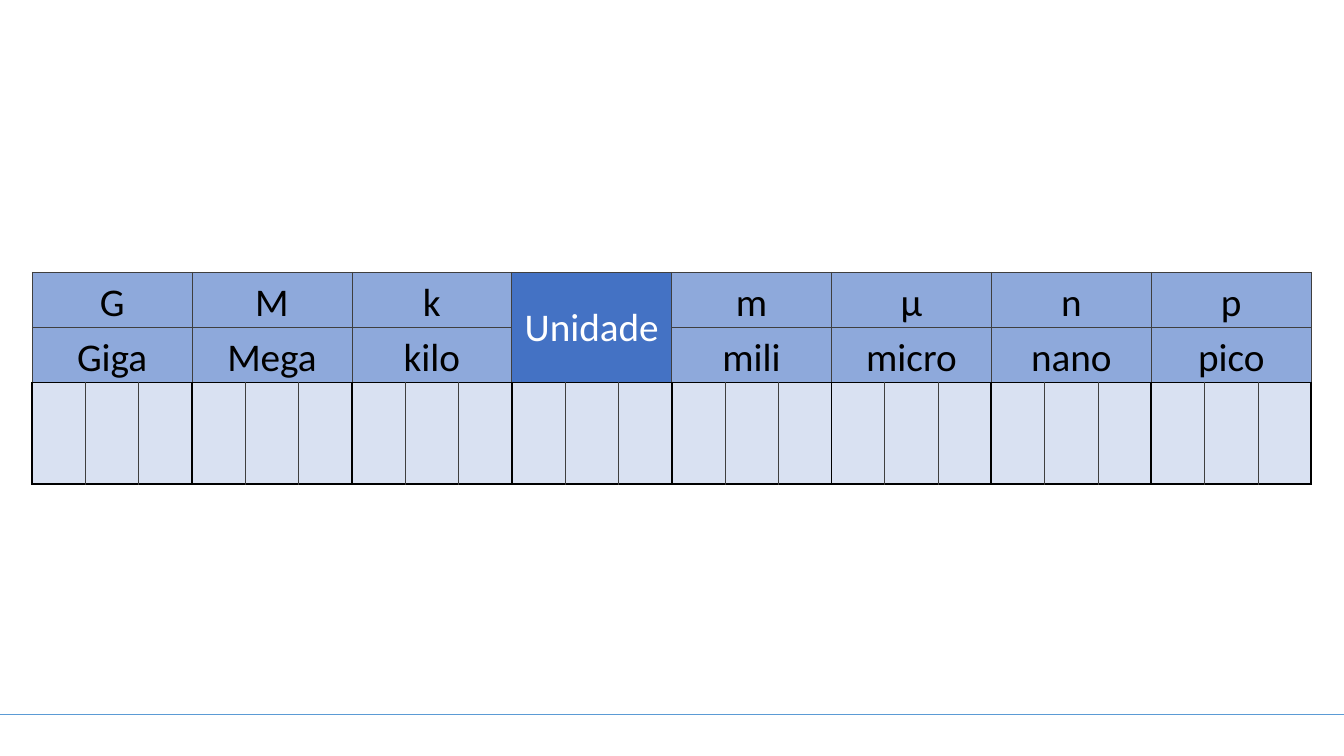
from dataclasses import dataclass

from lxml import etree
from pptx import Presentation
from pptx.dml.color import RGBColor
from pptx.enum.shapes import MSO_CONNECTOR
from pptx.enum.text import MSO_ANCHOR, PP_ALIGN
from pptx.oxml.ns import qn
from pptx.util import Cm, Pt

STRAIGHT = MSO_CONNECTOR.STRAIGHT
BOTTOM, MIDDLE = MSO_ANCHOR.BOTTOM, MSO_ANCHOR.MIDDLE
CENTER = PP_ALIGN.CENTER


@dataclass(frozen=True)
class Theme:
    font: str = "Calibri"
    text_size: float = 28
    text: str = "000000"
    unit_text: str = "FFFFFF"
    prefix_fill: str = "8EA9DB"
    unit_fill: str = "4472C4"
    digit_fill: str = "D9E1F2"
    footer_line: str = "5B9BD5"
    footer_width: float = 0.5
    thin: tuple = ("3F3F3F", 0.5)
    thick: tuple = ("000000", 1.5)


THEME = Theme()
UNIT = "Unidade"
PREFIXES = [
    ("G", "Giga"), ("M", "Mega"), ("k", "kilo"), (UNIT, ""),
    ("m", "mili"), ("µ", "micro"), ("n", "nano"), ("p", "pico"),
]
DIGITS = 3
ROW_HEIGHTS = (1.39, 1.39, 2.56)
SYMBOL_ROW, NAME_ROW, DIGIT_ROW = range(3)


def style_cell(cell, fill, left, right, top, bottom):
    """Set the four borders, each a (colour, points) pair, and then the fill."""
    properties = cell._tc.get_or_add_tcPr()
    for tag, (color, width) in zip(
        ("a:lnL", "a:lnR", "a:lnT", "a:lnB"), (left, right, top, bottom)
    ):
        line = etree.SubElement(properties, qn(tag), w=str(int(Pt(width))))
        solid = etree.SubElement(line, qn("a:solidFill"))
        etree.SubElement(solid, qn("a:srgbClr"), val=color)
    cell.fill.solid()
    cell.fill.fore_color.rgb = RGBColor.from_string(fill)


def write_heading(cell, text, color, anchor):
    cell.margin_left = cell.margin_right = cell.margin_top = Cm(0.02)
    cell.margin_bottom = 0
    cell.vertical_anchor = anchor
    cell.text = text
    paragraph = cell.text_frame.paragraphs[0]
    paragraph.alignment = CENTER
    paragraph.font.name = THEME.font
    paragraph.font.size = Pt(THEME.text_size)
    paragraph.font.color.rgb = RGBColor.from_string(color)


def add_prefix_headings(table, first, symbol, name):
    """Merge and write the heading cells above one group of digits."""
    last = first + DIGITS - 1
    is_unit = symbol == UNIT
    fill = THEME.unit_fill if is_unit else THEME.prefix_fill
    for row in (SYMBOL_ROW, NAME_ROW):
        bottom = THEME.thick if is_unit or row == NAME_ROW else THEME.thin
        for column in range(first, last + 1):
            style_cell(table.cell(row, column), fill,
                       THEME.thin, THEME.thin, THEME.thin, bottom)
    symbol_cell = table.cell(SYMBOL_ROW, first)
    if is_unit:
        symbol_cell.merge(table.cell(NAME_ROW, last))
        write_heading(symbol_cell, symbol, THEME.unit_text, MIDDLE)
        return
    for row, text in ((SYMBOL_ROW, symbol), (NAME_ROW, name)):
        cell = table.cell(row, first)
        cell.merge(table.cell(row, last))
        write_heading(cell, text, THEME.text, BOTTOM)


def add_digit_cells(table, first):
    for position in range(DIGITS):
        left = THEME.thick if position == 0 else THEME.thin
        right = THEME.thick if position == DIGITS - 1 else THEME.thin
        style_cell(table.cell(DIGIT_ROW, first + position), THEME.digit_fill,
                   left, right, THEME.thick, THEME.thick)


def add_prefix_table(slide, left, top, width):
    column_count = len(PREFIXES) * DIGITS
    frame = slide.shapes.add_table(len(ROW_HEIGHTS), column_count,
                                   left, top, width, Cm(sum(ROW_HEIGHTS)))
    table = frame.table
    table.first_row = table.horz_banding = False
    for column in table.columns:
        column.width = width // column_count
    for row, height in zip(table.rows, ROW_HEIGHTS):
        row.height = Cm(height)
    for index, (symbol, name) in enumerate(PREFIXES):
        add_prefix_headings(table, index * DIGITS, symbol, name)
        add_digit_cells(table, index * DIGITS)


def add_footer_line(slide, left, top, width):
    line = slide.shapes.add_connector(STRAIGHT, left, top, left + width, top)
    line.line.color.rgb = RGBColor.from_string(THEME.footer_line)
    line.line.width = Pt(THEME.footer_width)
    etree.SubElement(line._element.spPr, qn("a:effectLst"))


def main():
    presentation = Presentation()
    presentation.slide_width = Cm(33.87)
    presentation.slide_height = Cm(19.05)
    slide = presentation.slides.add_slide(presentation.slide_layouts[6])
    add_footer_line(slide, 0, Cm(18.01), presentation.slide_width)
    add_prefix_table(slide, Cm(0.81), Cm(6.86), Cm(32.25))
    presentation.save("out.pptx")


if __name__ == "__main__":
    main()
